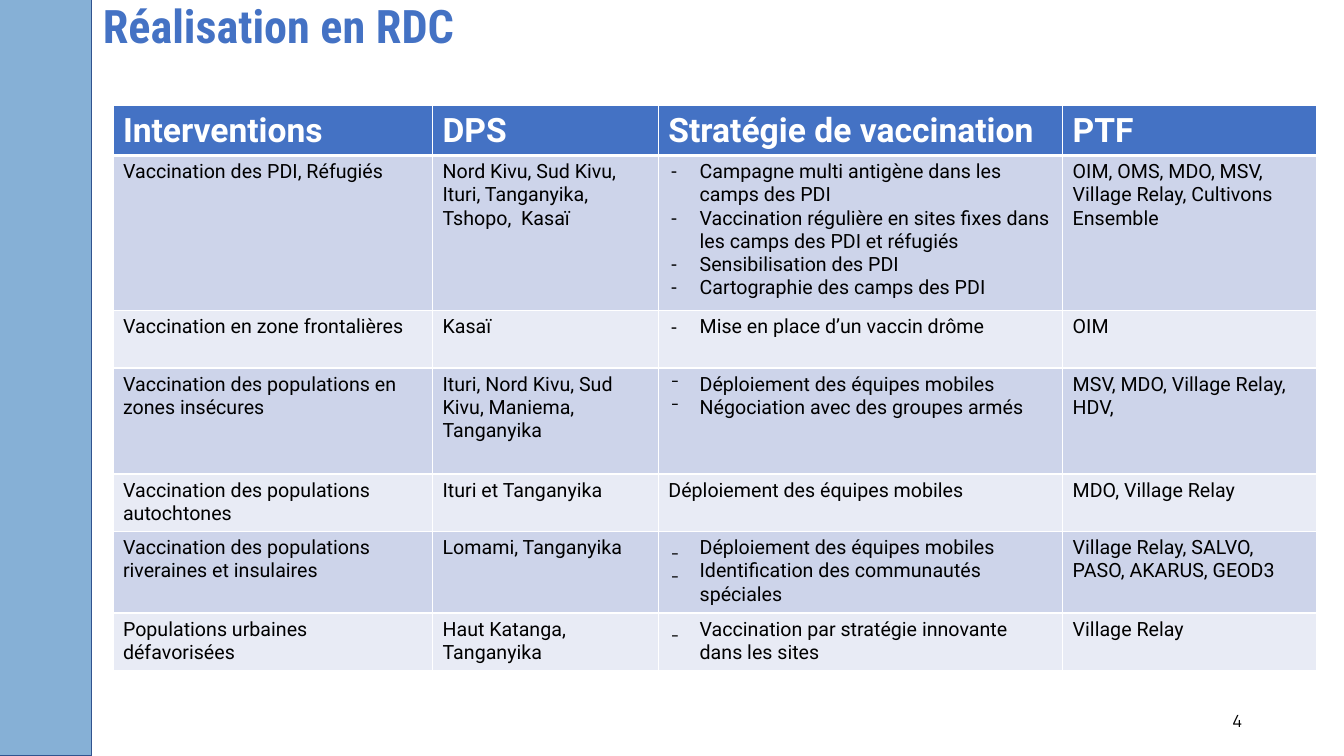
from lxml import etree
from pptx import Presentation
from pptx.dml.color import RGBColor
from pptx.enum.shapes import MSO_SHAPE
from pptx.enum.text import MSO_ANCHOR, MSO_AUTO_SIZE, PP_ALIGN
from pptx.oxml.ns import qn
from pptx.util import Inches, Pt

RECTANGLE = MSO_SHAPE.RECTANGLE
MIDDLE = MSO_ANCHOR.MIDDLE
NO_AUTOFIT = MSO_AUTO_SIZE.NONE
LEFT, RIGHT = PP_ALIGN.LEFT, PP_ALIGN.RIGHT

THEME = {
    "white": "FFFFFF",
    "black": "000000",
    "blue": "4472C4",
    "bar": "86B0D6",
    "bar_line": "31538F",
    "bands": ("CDD4EA", "E8EBF5"),
    "title": {"name": "Roboto Condensed", "size": Pt(33), "bold": True},
    "header": {"name": "Roboto", "size": Pt(24), "bold": True},
    "body": {"name": "Roboto", "size": Pt(14), "bold": False},
    "number": {"name": "Manrope", "size": Pt(12), "bold": False},
}


def write_text(paragraph, text, style, color):
    run = paragraph.add_run()
    run.text = text
    for attribute, value in THEME[style].items():
        setattr(run.font, attribute, value)
    run.font.color.rgb = RGBColor.from_string(color)


def add_bullet(paragraph, marker):
    properties = paragraph._p.get_or_add_pPr()
    properties.set("marL", str(Inches(0.31)))
    properties.set("indent", str(Inches(-0.28)))
    bullet_color = etree.SubElement(properties, qn("a:buClr"))
    etree.SubElement(bullet_color, qn("a:srgbClr"), val=THEME["black"])
    etree.SubElement(properties, qn("a:buFont"), typeface=THEME["body"]["name"])
    etree.SubElement(properties, qn("a:buChar"), char=marker)


presentation = Presentation()
presentation.slide_width = Inches(13.33)
presentation.slide_height = Inches(7.5)
slide = presentation.slides.add_slide(presentation.slide_layouts[5])
slide.background.fill.solid()
slide.background.fill.fore_color.rgb = RGBColor.from_string(THEME["white"])

bar = slide.shapes.add_shape(RECTANGLE, Inches(-0.05), Inches(-0.02), Inches(0.96), Inches(7.52))
bar.shadow.inherit = False
bar.fill.solid()
bar.fill.fore_color.rgb = RGBColor.from_string(THEME["bar"])
bar.line.color.rgb = RGBColor.from_string(THEME["bar_line"])
bar.line.width = Pt(1)

title = slide.shapes.title
title_box = {"left": Inches(0.92), "top": Inches(-0.01), "width": Inches(11.5), "height": Inches(0.59)}
for attribute, value in title_box.items():
    setattr(title, attribute, value)
title.text_frame.auto_size = NO_AUTOFIT
title.text_frame.vertical_anchor = MIDDLE
title_paragraph = title.text_frame.paragraphs[0]
title_paragraph.alignment = LEFT
title_paragraph.line_spacing = 0.9
write_text(title_paragraph, "Réalisation en RDC", "title", THEME["blue"])

column_widths = (3.17, 2.24, 4.01, 2.52)
row_heights = (0.48, 1.54, 0.57, 1.05, 0.57, 0.81, 0.57)
rows = [
    ("Interventions", "DPS", ("", ["Stratégie de vaccination"]), "PTF"),
    ("Vaccination des PDI, Réfugiés", "Nord Kivu, Sud Kivu, Ituri, Tanganyika, Tshopo,  Kasaï",
     ("-", ["Campagne multi antigène dans les camps des PDI",
            "Vaccination régulière en sites fixes dans les camps des PDI et réfugiés",
            "Sensibilisation des PDI", "Cartographie des camps des PDI"]),
     "OIM, OMS, MDO, MSV, Village Relay, Cultivons Ensemble"),
    ("Vaccination en zone frontalières", "Kasaï",
     ("-", ["Mise en place d’un vaccin drôme"]), "OIM"),
    ("Vaccination des populations en zones insécures",
     "Ituri, Nord Kivu, Sud Kivu, Maniema, Tanganyika",
     ("⁻", ["Déploiement des équipes mobiles", "Négociation avec des groupes armés"]),
     "MSV, MDO, Village Relay, HDV,"),
    ("Vaccination des populations autochtones", "Ituri et Tanganyika",
     ("", ["Déploiement des équipes mobiles"]), "MDO, Village Relay"),
    ("Vaccination des populations riveraines et insulaires", "Lomami, Tanganyika",
     ("₋", ["Déploiement des équipes mobiles", "Identification des communautés spéciales"]),
     "Village Relay, SALVO, PASO, AKARUS, GEOD3"),
    ("Populations urbaines défavorisées", "Haut Katanga, Tanganyika",
     ("₋", ["Vaccination par stratégie innovante dans les sites"]), "Village Relay"),
]

table = slide.shapes.add_table(
    len(rows), len(column_widths), Inches(1.12), Inches(1.05),
    Inches(sum(column_widths)), Inches(sum(row_heights)),
).table
table.horz_banding = False
for column, width in zip(table.columns, column_widths):
    column.width = Inches(width)
for row, height in zip(table.rows, row_heights):
    row.height = Inches(height)

for row_index, row_content in enumerate(rows):
    is_header = row_index == 0
    style = "header" if is_header else "body"
    text_color = THEME["white"] if is_header else THEME["black"]
    fill_color = THEME["blue"] if is_header else THEME["bands"][(row_index - 1) % 2]
    for column_index, content in enumerate(row_content):
        cell = table.cell(row_index, column_index)
        cell_properties = cell._tc.get_or_add_tcPr()
        for side in ("L", "R", "T", "B"):
            thick = (is_header and side == "B") or (row_index == 1 and side == "T")
            border = etree.SubElement(cell_properties, qn(f"a:ln{side}"), w=str(Pt(3 if thick else 1)))
            border_fill = etree.SubElement(border, qn("a:solidFill"))
            etree.SubElement(border_fill, qn("a:srgbClr"), val=THEME["white"])
        cell.fill.solid()
        cell.fill.fore_color.rgb = RGBColor.from_string(fill_color)
        marker, lines = content if isinstance(content, tuple) else ("", [content])
        for line_index, line in enumerate(lines):
            frame = cell.text_frame
            paragraph = frame.add_paragraph() if line_index else frame.paragraphs[0]
            if marker:
                add_bullet(paragraph, marker)
            write_text(paragraph, line, style, text_color)

number_box = slide.shapes.add_textbox(Inches(9.42), Inches(6.95), Inches(3), Inches(0.4))
number_box.text_frame.word_wrap = True
number_box.text_frame.vertical_anchor = MIDDLE
number_paragraph = number_box.text_frame.paragraphs[0]
number_paragraph.alignment = RIGHT
write_text(number_paragraph, "4", "number", THEME["black"])

presentation.save("out.pptx")
